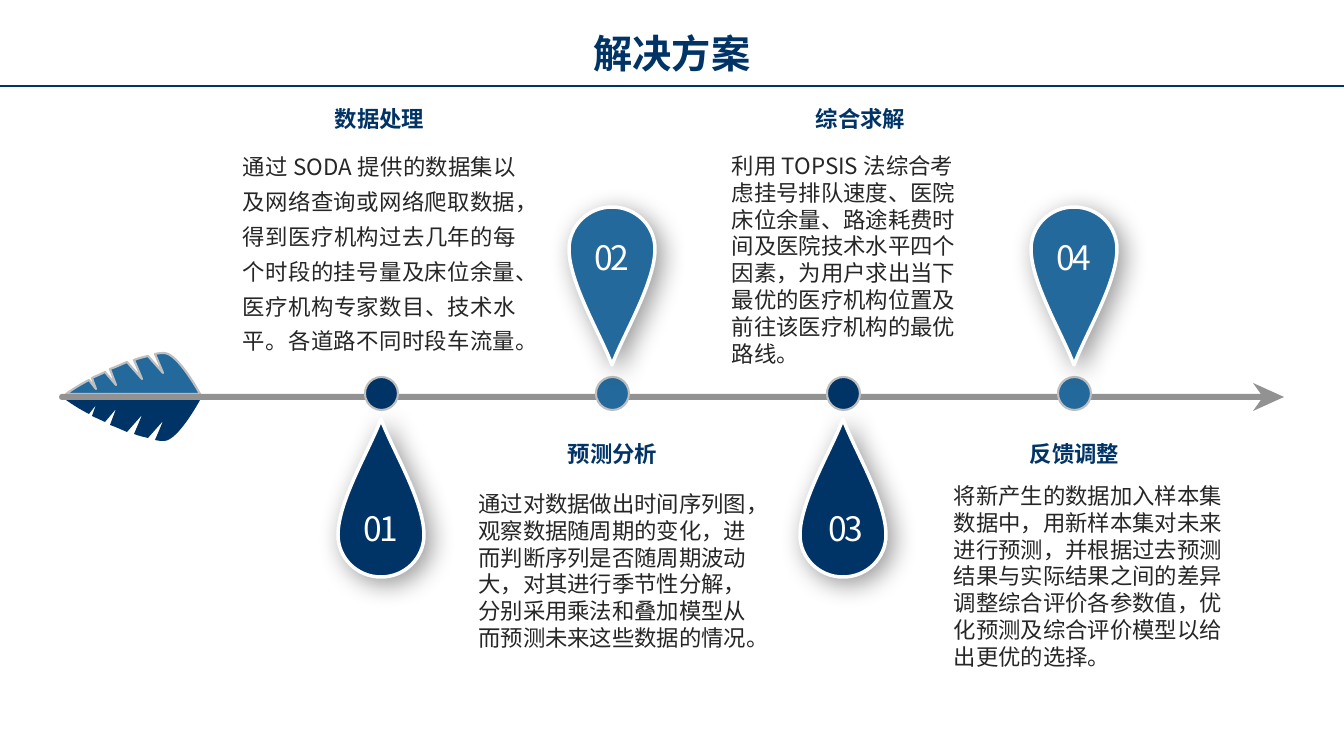
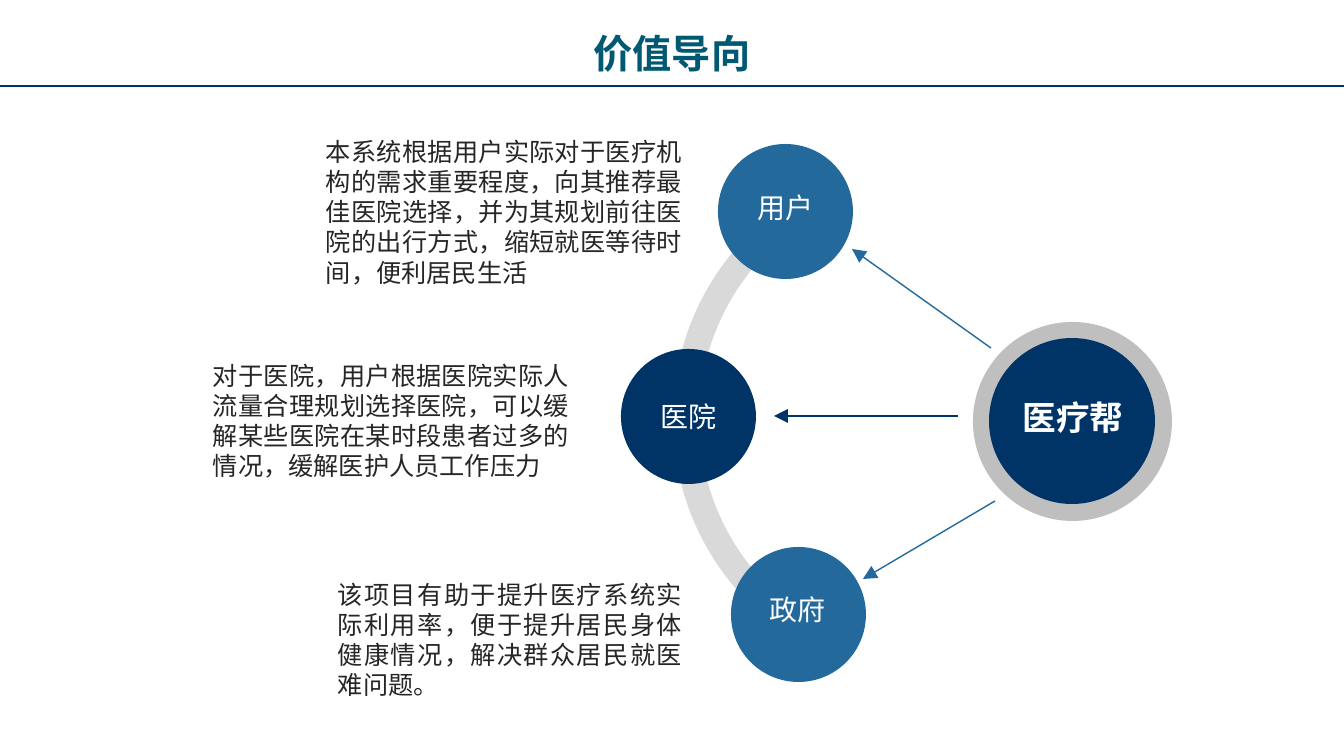
from lxml.etree import SubElement
from pptx import Presentation
from pptx.dml.color import RGBColor
from pptx.enum.shapes import MSO_CONNECTOR as CONN, MSO_SHAPE as SHAPE
from pptx.enum.text import PP_ALIGN as AL
from pptx.oxml.ns import qn
from pptx.util import Emu, Pt

SCALE = 12192000 / 1344
FONT = "Noto Sans CJK SC"
NAVY, BLUE, TEAL, WHITE = "003366", "24699C", "005973", "FFFFFF"
INK, GREY, SILVER, PALE = "262626", "929292", "BFBFBF", "D9D9D9"

FEATHER = (41, (98, 0), [
    (96, 0, 93, 0, 89, 1), (93, 10, 97, 20, 97, 20), (82, 3),
    (78, 4, 73, 5, 68, 7), (72, 16, 76, 26, 76, 26), (61, 9),
    (56, 11, 50, 14, 44, 16), (47, 24, 50, 32, 50, 32), (39, 19),
    (35, 21, 30, 23, 26, 25), (28, 31, 30, 36, 30, 36), (23, 27),
    (15, 31, 7, 36, 0, 41), (134, 41), (134, 41, 112, 0, 98, 0)])
DROP = (158, (43, 158), [
    (32, 128, 0, 76, 0, 42), (0, 19, 19, 0, 43, 0),
    (67, 0, 86, 19, 86, 42), (86, 76, 54, 128, 43, 158)])
SHAFT = (6, (3, 6), [
    (1, 6, 0, 5, 0, 3), (0, 1, 1, 0, 3, 0), (1206, 0),
    (1208, 0, 1209, 1, 1209, 3), (1209, 5, 1208, 6, 1206, 6), (3, 6)])
ARROWHEAD = (28, (31, 14), [(0, 28), (10, 14), (0, 0), (31, 14)])
ARC = (449, (143, 22), [
    (73, 62, 26, 139, 26, 225), (26, 311, 71, 386, 138, 427), (126, 449),
    (50, 403, 0, 321, 0, 225), (0, 129, 52, 45, 130, 0), (143, 22)])

STAGES = [
    ("01", 341, "数据处理", (280, 100), (233, 140, 293, 219), AL.JUSTIFY, 1.3,
     "通过SODA提供的数据集以及网络查询或网络爬取数据，得到医疗机构过去几年的每个时段的挂号量及床位余量、医疗机构专家数目、技术水平。各道路不同时段车流量。"),
    ("02", 572, "预测分析", (513, 435), (459, 485, 307, 173), AL.CENTER, 1,
     "通过对数据做出时间序列图，观察数据随周期的变化，进而判断序列是否随周期波动大，对其进行季节性分解，分别采用乘法和叠加模型从而预测未来这些数据的情况。"),
    ("03", 806, "综合求解", (761, 100), (722, 147, 254, 228), AL.LEFT, 1,
     "利用TOPSIS法综合考虑挂号排队速度、医院床位余量、路途耗费时间及医院技术水平四个因素，为用户求出当下最优的医疗机构位置及前往该医疗机构的最优路线。"),
    ("04", 1034, "反馈调整", (975, 435), (944, 477, 309, 201), AL.LEFT, 1,
     "将新产生的数据加入样本集数据中，用新样本集对未来进行预测，并根据过去预测结果与实际结果之间的差异调整综合评价各参数值，优化预测及综合评价模型以给出更优的选择。"),
]

AUDIENCES = [
    ("用户", (718, 144), (25, 42), BLUE, (991, 348, 852, 249), (316, 131, 376, 163),
     "本系统根据用户实际对于医疗机构的需求重要程度，向其推荐最佳医院选择，并为其规划前往医院的出行方式，缩短就医等待时间，便利居民生活"),
    ("医院", (621, 349), (25, 46), NAVY, (958, 416, 774, 416), (203, 355, 376, 132),
     "对于医院，用户根据医院实际人流量合理规划选择医院，可以缓解某些医院在某时段患者过多的情况，缓解医护人员工作压力"),
    ("政府", (731, 547), (24, 41), BLUE, (995, 501, 863, 579), (328, 574, 364, 132),
     "该项目有助于提升医疗系统实际利用率，便于提升居民身体健康情况，解决群众居民就医难问题。"),
]


def px(n):
    """Turn px into EMU."""
    return Emu(round(n * SCALE))


def rgb(color):
    """Turn a hex string into a colour."""
    return RGBColor.from_string(color)


def paint(sp, fill, line=None, width=1.5):
    """Give a shape a plain fill, an optional outline and no shadow."""
    sp.shadow.inherit = False
    sp.fill.solid()
    sp.fill.fore_color.rgb = rgb(fill)
    if line:
        sp.line.color.rgb = rgb(line)
        sp.line.width = Pt(width)
    else:
        sp.line.fill.background()
    return sp


def circle(s, x, y, size, fill, line=None):
    """Add a painted circle."""
    sp = s.shapes.add_shape(SHAPE.OVAL, px(x), px(y), px(size), px(size))
    return paint(sp, fill, line)


def bend(sp, segments):
    """Join the three points of each curved segment into one Bézier curve."""
    steps = iter(list(sp._element.iter(qn("a:lnTo"))))
    for seg in segments:
        first, *others = [next(steps) for _ in range(len(seg) // 2)]
        if others:
            first.tag = qn("a:cubicBezTo")
        for step in others:
            first.append(step[0])
            step.getparent().remove(step)


def outline(s, x, y, form, fill, line=None, width=1.5, flip=False):
    """Add a freeform with curves, optionally turned upside down."""
    height, start, segments = form
    points = [start] + [seg[i:i + 2] for seg in segments for i in range(0, len(seg), 2)]
    spots = [(px(x + a), px(y + (height - b if flip else b))) for a, b in points]
    builder = s.shapes.build_freeform(*spots[0])
    builder.add_line_segments(spots[1:], close=True)
    sp = builder.convert_to_shape()
    bend(sp, segments)
    return paint(sp, fill, line, width)


def cast_shadow(sp):
    """Add a soft shadow to the lower right."""
    effects = sp._element.spPr.find(qn("a:effectLst"))
    outer = SubElement(effects, qn("a:outerShdw"), blurRad=str(Pt(18)), dist=str(Pt(6)),
                       dir="2700000", algn="tl", rotWithShape="0")
    color = SubElement(outer, qn("a:srgbClr"), val="000000")
    SubElement(color, qn("a:alpha"), val="40000")


def text(s, box, words, size, color, align=AL.CENTER, bold=False, leading=1, tracking=0):
    """Add a wrapped text box with one run."""
    tf = s.shapes.add_textbox(*map(px, box)).text_frame
    tf.word_wrap = True
    p = tf.paragraphs[0]
    p.alignment = align
    p.line_spacing = leading
    r = p.add_run()
    r.text = words
    r.font.size = Pt(size)
    r.font.bold = bold
    r.font.color.rgb = rgb(color)
    r.font.name = FONT
    rPr = r.font._element
    SubElement(rPr, qn("a:ea"), typeface=FONT)
    if tracking:
        rPr.set("spc", str(tracking))


def line(s, ends, color, width, arrow=False):
    """Add a straight line, with an arrowhead at its end if asked."""
    c = s.shapes.add_connector(CONN.STRAIGHT, *map(px, ends))
    c.line.color.rgb = rgb(color)
    c.line.width = Pt(width)
    if arrow:
        SubElement(c.line._get_or_add_ln(), qn("a:tailEnd"), type="triangle", w="lg", len="lg")
    SubElement(c._element.spPr, qn("a:effectLst"))


def titled_slide(prs, title, color):
    """Add a blank slide with the shared title and rule."""
    s = prs.slides.add_slide(prs.slide_layouts[6])
    line(s, (0, 86, 1344, 86), NAVY, 1.5)
    text(s, (445, 24, 454, 57), title, 28, color, bold=True)
    return s


def feathered_arrow(s, x, y):
    """Draw the long arrow from its feather to its head."""
    outline(s, x + 7, y, FEATHER, BLUE, SILVER)
    outline(s, x + 7, y + 47, FEATHER, NAVY, flip=True)
    outline(s, x, y + 41, SHAFT, GREY)
    outline(s, x + 1194, y + 30, ARROWHEAD, GREY)


def stage(s, x, above, number, number_x, heading, heading_at, body_box, align, leading, body):
    """Draw a dot, its numbered drop and its text around centre x."""
    fill = BLUE if above else NAVY
    circle(s, x - 16, 377, 33, fill, SILVER)
    drop = outline(s, x - 43, 207 if above else 419, DROP, fill, WHITE, 2.5, not above)
    cast_shadow(drop)
    text(s, (number_x, 232 if above else 503, 80, 50), number, 24, WHITE, tracking=-150)
    text(s, (*heading_at, 199, 37), heading, 16, NAVY, bold=True)
    text(s, body_box, body, 16, INK, align, leading=leading)


def audience(s, label, at, label_shift, fill, arrow, body_box, body):
    """Draw a labelled circle, the arrow to it and its text."""
    x, y = at
    dx, dy = label_shift
    circle(s, x, y, 135, fill)
    text(s, (x + dx, y + dy, 86, 44), label, 20, WHITE)
    line(s, arrow, fill, 1, arrow=True)
    text(s, body_box, body, 18, INK, AL.JUSTIFY)


def hub(s, x, y):
    """Draw the ringed circle that names the project."""
    circle(s, x, y, 199, SILVER)
    circle(s, x + 16, y + 16, 166, NAVY)
    text(s, (x + 31, y + 70, 138, 50), "医疗帮", 24, WHITE, bold=True)


def solution_slide(prs):
    """Build the four stages along the arrow."""
    s = titled_slide(prs, "解决方案", NAVY)
    feathered_arrow(s, 59, 353)
    for i, parts in enumerate(STAGES):
        stage(s, 381 + 231 * i, i % 2 == 1, *parts)


def value_slide(prs):
    """Build the three audiences around the hub."""
    s = titled_slide(prs, "价值导向", TEAL)
    outline(s, 673, 193, ARC, PALE)
    for parts in AUDIENCES:
        audience(s, *parts)
    hub(s, 973, 322)


def main():
    """Build and save the deck."""
    prs = Presentation()
    prs.slide_width, prs.slide_height = px(1344), px(756)
    solution_slide(prs)
    value_slide(prs)
    prs.save("out.pptx")


if __name__ == "__main__":
    main()
